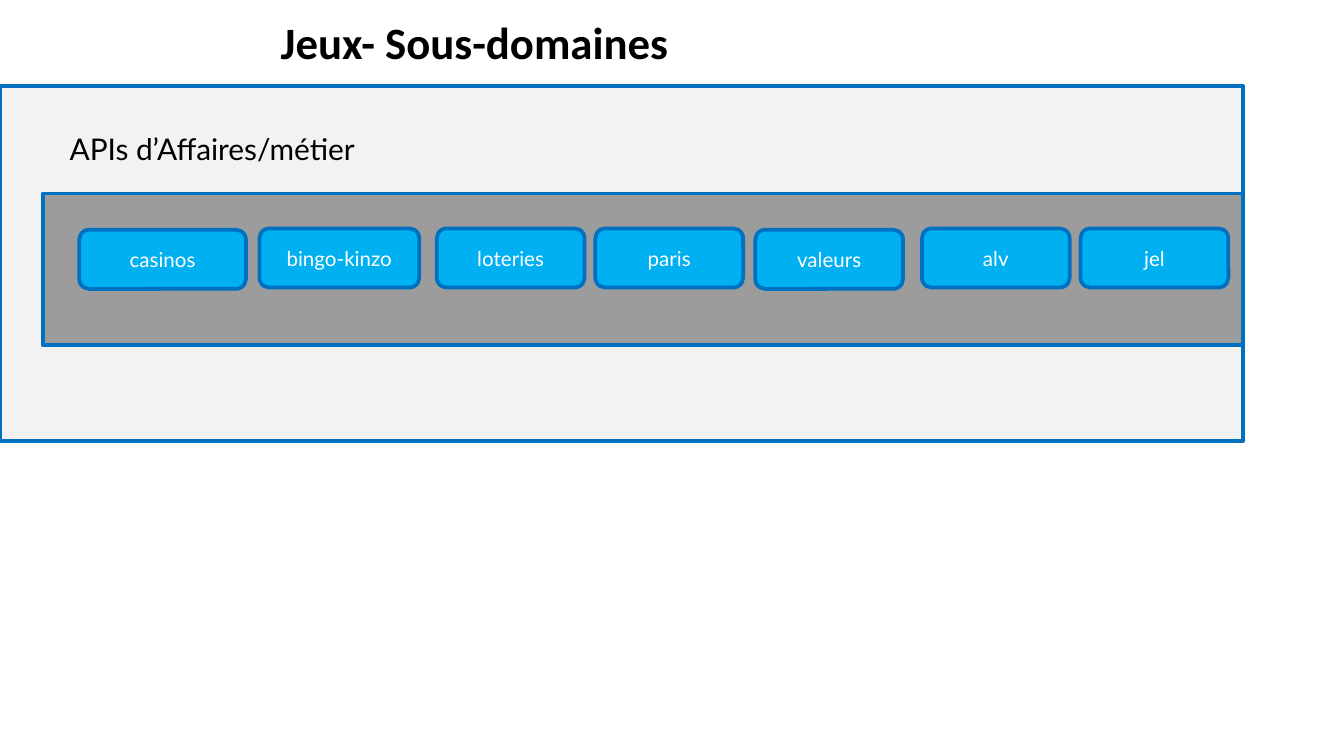
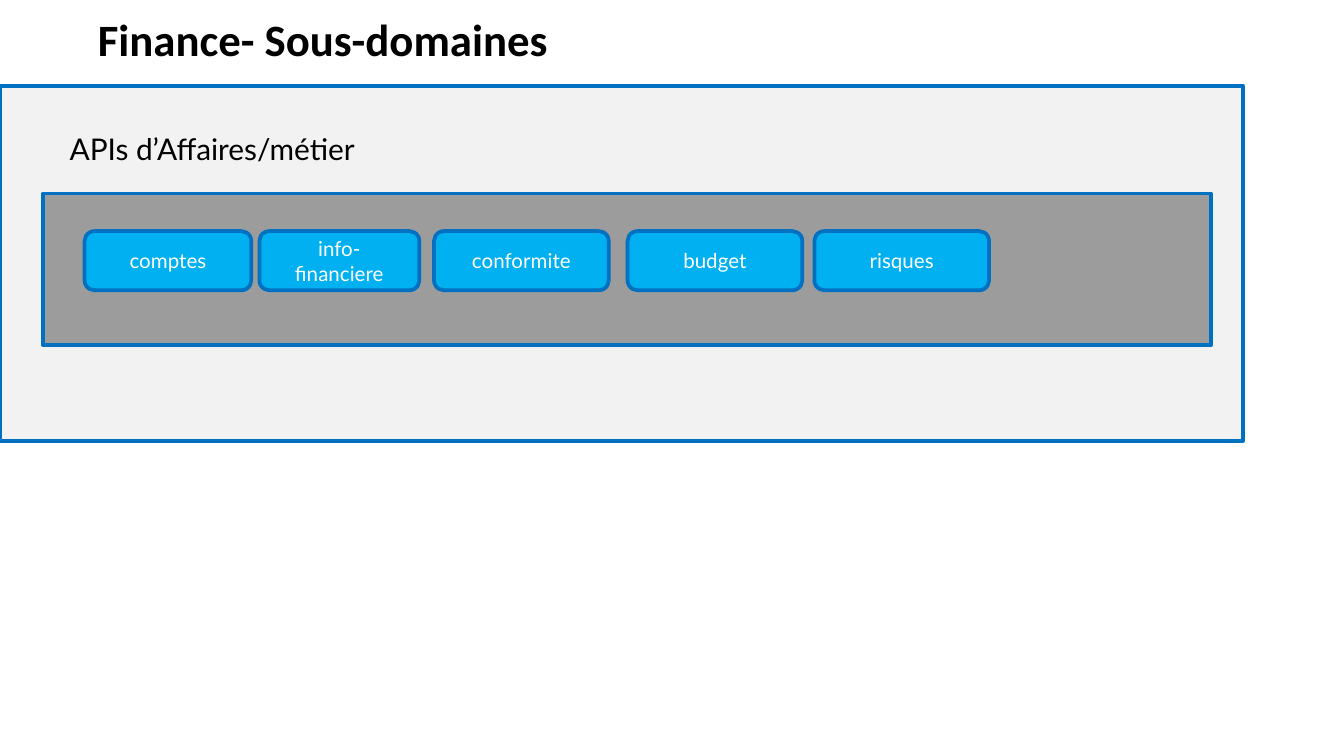
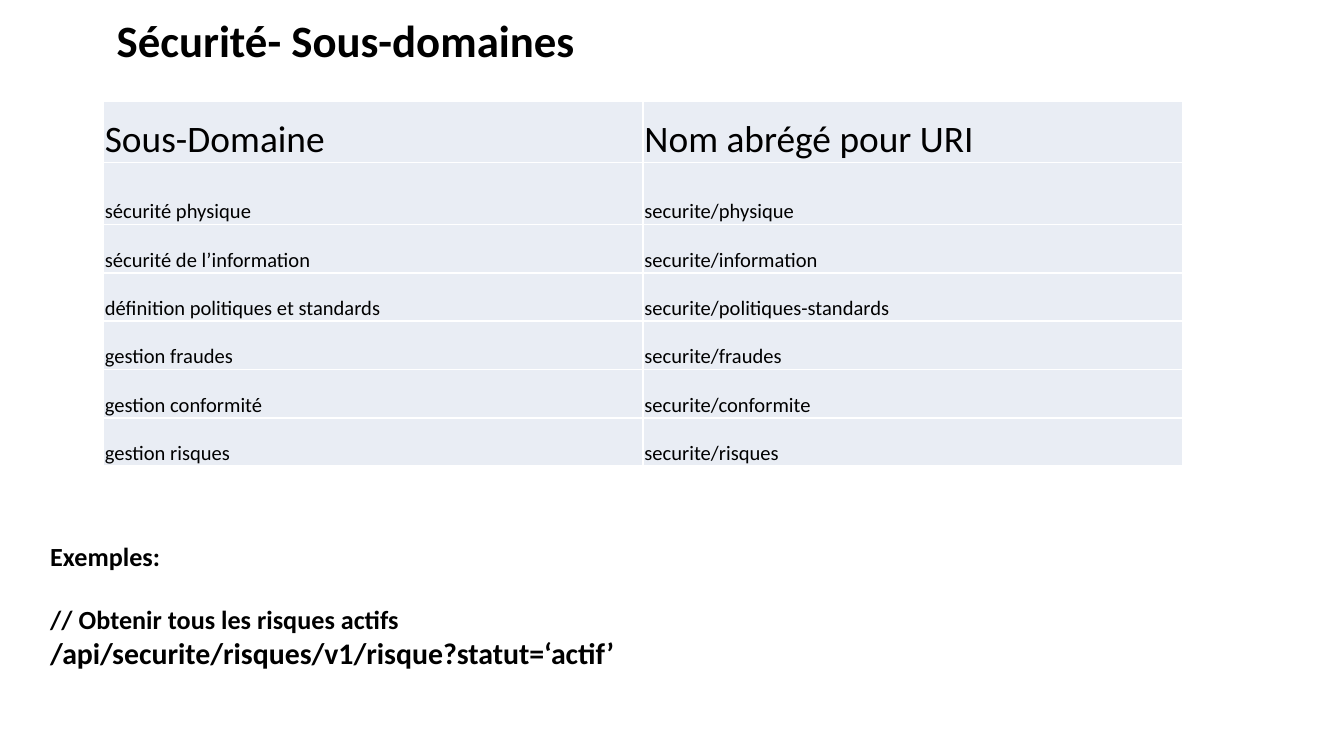
from lxml.etree import SubElement
from pptx import Presentation
from pptx.dml.color import RGBColor
from pptx.enum.shapes import MSO_SHAPE
from pptx.enum.text import MSO_ANCHOR, PP_ALIGN
from pptx.oxml.ns import qn
from pptx.util import Inches, Pt

COLORS = {
    "line": "0070C0",
    "panel": "F2F2F2",
    "band": "9C9C9C",
    "chip": "00B0F0",
    "cell": "E9EDF4",
    "white": "FFFFFF",
    "black": "000000",
}

prs = Presentation()
prs.slide_width = Inches(10)
prs.slide_height = prs.slide_width * 9 // 16
blank = prs.slide_layouts[6]
col = row = prs.slide_width // 100


def add_box(s, kind, x, y, w, h, fill):
    sp = s.shapes.add_shape(kind, int(x * col), int(y * row), int(w * col), int(h * row))
    sp.shadow.inherit = False
    sp.fill.solid()
    sp.fill.fore_color.rgb = RGBColor.from_string(COLORS[fill])
    sp.line.color.rgb = RGBColor.from_string(COLORS["line"])
    sp.line.width = Pt(2)
    return sp


def write(p, text, size, font="Calibri", color="black", bold=False):
    p.text = text
    r = p.runs[0]
    r.font.name = font
    r.font.size = Pt(size)
    r.font.bold = bold
    r.font.color.rgb = RGBColor.from_string(COLORS[color])


titles = [
    ("Jeux- Sous-domaines", 19.9, 0.6, 75.8),
    ("Finance- Sous-domaines", 6.3, 0.4, 75.8),
    ("Sécurité- Sous-domaines", 7.7, 0.45, 81.7),
]
bands = [89.3, 86.9]
chips = [
    [
        ("casinos", 5.9, 17.1, 12.4),
        ("bingo-kinzo", 19.3, 17, 11.9),
        ("loteries", 32.5, 17, 11),
        ("paris", 44.3, 17, 11),
        ("valeurs", 56.2, 17.1, 11),
        ("alv", 68.6, 17, 11),
        ("jel", 80.4, 17, 11),
    ],
    [
        ("comptes", 6.3, 17.2, 12.4),
        ("info-financiere", 19.3, 17.2, 11.9),
        ("conformite", 32.3, 17.2, 13),
        ("budget", 46.7, 17.2, 13),
        ("risques", 60.6, 17.2, 13),
    ],
]

for band_width, group in zip(bands, chips):
    s = prs.slides.add_slide(blank)
    add_box(s, MSO_SHAPE.RECTANGLE, 0, 6.4, 92.5, 26.4, "panel")
    add_box(s, MSO_SHAPE.RECTANGLE, 3.2, 14.4, band_width, 11.3, "band")
    sp = s.shapes.add_textbox(int(4.2 * col), int(9.2 * row), int(23.4 * col), int(3.7 * row))
    sp.text_frame.word_wrap = False
    write(sp.text_frame.paragraphs[0], "APIs d’Affaires/métier", 16, "Lato")
    for label, x, y, w in group:
        sp = add_box(s, MSO_SHAPE.ROUNDED_RECTANGLE, x, y, w, 4.4, "chip")
        tf = sp.text_frame
        tf.word_wrap = True
        tf.vertical_anchor = MSO_ANCHOR.MIDDLE
        p = tf.paragraphs[0]
        p.alignment = PP_ALIGN.CENTER
        write(p, label, 11, "Lato", "white")

s = prs.slides.add_slide(blank)
rows = [
    ("Sous-Domaine", "Nom abrégé pour URI"),
    ("sécurité physique", "securite/physique"),
    ("sécurité de l’information", "securite/information"),
    ("définition politiques et standards", "securite/politiques-standards"),
    ("gestion fraudes", "securite/fraudes"),
    ("gestion conformité", "securite/conformite"),
    ("gestion risques", "securite/risques"),
]
table = s.shapes.add_table(
    len(rows), 2, int(7.7 * col), int(7.5 * row), int(80.3 * col), int(27.2 * row)
).table
table.first_row = False
table.horz_banding = False
for i, texts in enumerate(rows):
    table.rows[i].height = int((4.6 if i < 2 else 3.6) * row)
    for j, text in enumerate(texts):
        cell = table.cell(i, j)
        cell.margin_left = cell.margin_right = cell.margin_top = Inches(0.01)
        cell.margin_bottom = 0
        cell.vertical_anchor = MSO_ANCHOR.BOTTOM
        write(cell.text_frame.paragraphs[0], text, 20 if i == 0 else 11)
        tcPr = cell._tc.get_or_add_tcPr()
        for side in ("a:lnL", "a:lnR", "a:lnT", "a:lnB"):
            ln = SubElement(tcPr, qn(side), w=str(Pt(1)))
            SubElement(SubElement(ln, qn("a:solidFill")), qn("a:srgbClr"), val=COLORS["white"])
        cell.fill.solid()
        cell.fill.fore_color.rgb = RGBColor.from_string(COLORS["cell"])

sp = s.shapes.add_textbox(int(2.75 * col), int(39.7 * row), int(97.2 * col), int(15.8 * row))
tf = sp.text_frame
tf.word_wrap = True
examples = [
    ("Exemples:", 14, 0),
    ("// Obtenir tous les risques actifs", 14, 17),
    ("/api/securite/risques/v1/risque?statut=‘actif’", 16, 0),
]
for i, (text, size, gap) in enumerate(examples):
    p = tf.add_paragraph() if i else tf.paragraphs[0]
    write(p, text, size, bold=True)
    if gap:
        p.space_before = Pt(gap)

for s, (title, x, y, w) in zip(prs.slides, titles):
    sp = s.shapes.add_textbox(int(x * col), int(y * row), int(w * col), int(7.5 * row))
    sp.text_frame.word_wrap = True
    write(sp.text_frame.paragraphs[0], title, 24, bold=True)

prs.save("out.pptx")
